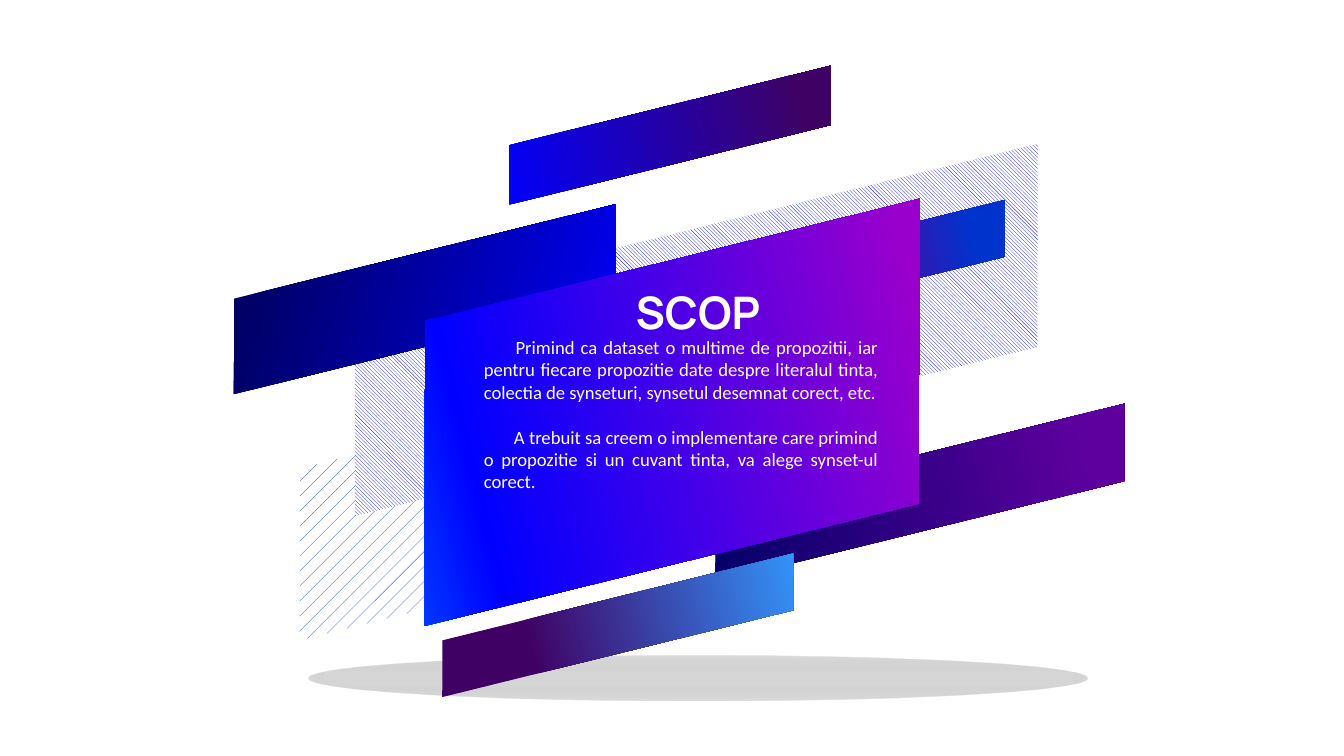
"""Build a slide of slanted gradient panels around a short statement of purpose."""
from pptx import Presentation, oxml
from pptx.dml.color import RGBColor
from pptx.enum import dml, shapes, text
from pptx.oxml import ns
from pptx.util import Cm, Pt

HUES = {
    "white": "FFFFFF", "black": "000000", "gray": "808080",
    "navy": "000066", "blue": "0000FF", "royal": "0033CC",
    "azure": "0066FF", "sky": "3399FF", "plum": "3F0264",
    "violet": "5E009E", "purple": "9900CC",
}
TILT = -13.9
SPAN = '<a:lin ang="{}" scaled="0"/>'
GLOW = ('<a:path path="shape"><a:fillToRect l="50000" t="50000" '
        'r="50000" b="50000"/></a:path>')

HATCHED = [
    ((5.18, 8.13, 7.21, 3.15), dml.MSO_PATTERN.PERCENT_10, "royal"),
    ((6.05, 4.37, 14.22, 3.73), dml.MSO_PATTERN.LIGHT_DOWNWARD_DIAGONAL, "blue"),
]
PANELS = [
    ((13.23, 8.61, 8.31, 1.42), [(0, "navy"), (87, "violet")], 0),
    ((9.4, 2.01, 6.53, 1.09), [(0, "blue"), (87, "plum")], 0),
    ((12.12, 4.62, 7.09, 1.04), [(56, "violet"), (87, "royal")], 0),
    ((4.09, 4.78, 7.87, 1.75), [(13, "navy"), (100, "blue")], 30),
    ((7.19, 5, 11.02, 5.59), [(0, "azure"), (21, "blue"), (87, "purple")], 0),
]
FRONT = ((8.13, 11.3, 7.09, 1.04), [(27, "plum"), (100, "sky")], 0)
GOALS = [
    ("Primind ca dataset o multime de propozitii, iar pentru fiecare propozitie "
     "date despre literalul tinta, colectia de synseturi, synsetul desemnat "
     "corect, etc.", 0.6, 0),
    ("A trebuit sa creem o implementare care primind o propozitie si un cuvant "
     "tinta, va alege synset-ul corect.", 0.57, 12),
]


def rgb(hue):
    return RGBColor.from_string(HUES[hue])


def add_form(slide, kind, box, turn=0):
    form = slide.shapes.add_shape(kind, *map(Cm, box))
    form.rotation = turn
    form.shadow.inherit = False
    form.line.fill.background()
    return form


def add_panel(slide, box):
    return add_form(slide, shapes.MSO_SHAPE.PARALLELOGRAM, box, TILT)


def fill_hatch(form, kind, hue):
    form.fill.patterned()
    form.fill.pattern = kind
    form.fill.fore_color.rgb = rgb(hue)
    form.fill.back_color.rgb = rgb("white")


def fill_blend(form, stops, course):
    form.fill.gradient()
    marks = "".join(
        f'<a:gs pos="{pos * 1000}"><a:srgbClr val="{HUES[hue]}">'
        f'<a:alpha val="{(alpha or [100])[0] * 1000}"/></a:srgbClr></a:gs>'
        for pos, hue, *alpha in stops)
    blend = oxml.parse_xml(
        f'<a:gradFill {ns.nsdecls("a")} rotWithShape="1">'
        f'<a:gsLst>{marks}</a:gsLst>{course}</a:gradFill>')
    props = form.element.spPr
    props.replace(props.find(ns.qn("a:gradFill")), blend)


def add_blend(slide, box, stops, angle):
    fill_blend(add_panel(slide, box), stops, SPAN.format(angle * 60000))


def place_holder(slide, holder, box):
    holder.left, holder.top, holder.width, holder.height = map(Cm, box)
    slide.shapes.element.append(holder.element)
    frame = holder.text_frame
    frame.word_wrap = True
    frame.auto_size = text.MSO_AUTO_SIZE.SHAPE_TO_FIT_TEXT
    frame.vertical_anchor = text.MSO_ANCHOR.TOP
    return frame


def style_line(line, font, size, align, bold=False):
    line.alignment = align
    for run in line.runs:
        run.font.name = font
        run.font.size = Pt(size)
        run.font.bold = bold
        run.font.color.rgb = rgb("white")


def add_title(slide):
    frame = place_holder(slide, slide.shapes.title, (9.42, 5.26, 7.54, 1.27))
    frame.text = "SCOP"
    style_line(frame.paragraphs[0], "Manrope", 24, text.PP_ALIGN.CENTER, True)


def add_goals(slide):
    frame = place_holder(slide, slide.placeholders[1], (8.89, 6.22, 7.95, 3.25))
    for i, (words, indent, gap) in enumerate(GOALS):
        line = frame.paragraphs[0] if i == 0 else frame.add_paragraph()
        line.text = words
        line.space_before = Pt(gap)
        style_line(line, "Calibri", 10, text.PP_ALIGN.JUSTIFY)
        props = line._p.get_or_add_pPr()
        props.set("marL", "0")
        props.set("indent", str(Cm(indent)))
        props.append(oxml.parse_xml(f'<a:buNone {ns.nsdecls("a")}/>'))


def main():
    deck = Presentation()
    deck.slide_width, deck.slide_height = Cm(25.4), Cm(14.29)
    slide = deck.slides.add_slide(deck.slide_layouts[1])
    for box, kind, hue in HATCHED:
        fill_hatch(add_panel(slide, box), kind, hue)
    for panel in PANELS:
        add_blend(slide, *panel)
    shade = add_form(slide, shapes.MSO_SHAPE.OVAL, (5.84, 12.4, 14.71, 0.84))
    fill_blend(shade, [(27, "black", 16), (100, "gray", 28)], GLOW)
    add_title(slide)
    add_goals(slide)
    add_blend(slide, *FRONT)
    deck.save("out.pptx")


if __name__ == "__main__":
    main()
